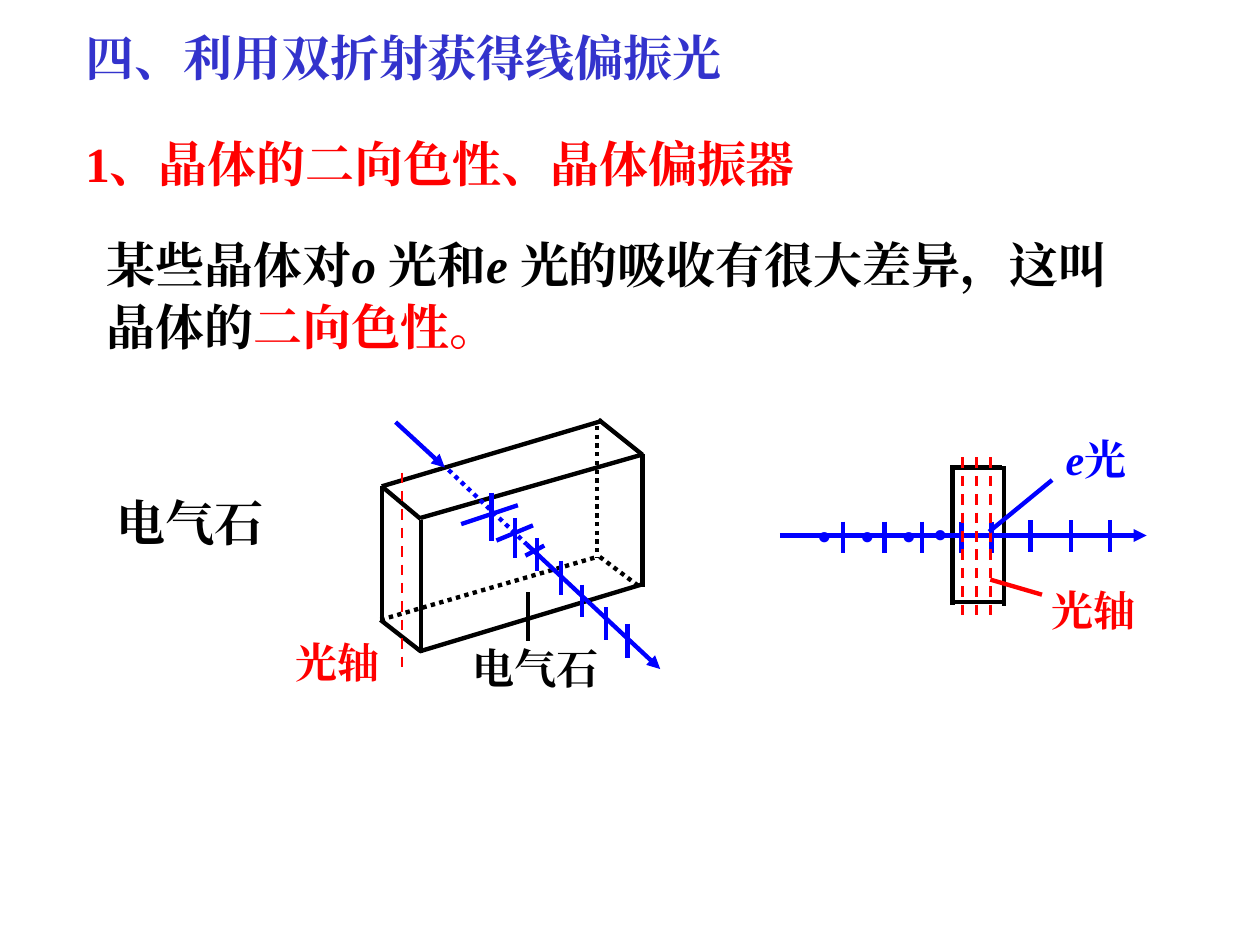
import pptx
import pptx.util
import pptx.dml.color
import pptx.enum.dml
import pptx.enum.shapes
import pptx.enum.text
from pptx.util import Inches
from lxml import etree

BLACK, RED, BLUE, INDIGO = "000000", "FF0000", "0000FF", "3333CC"
SERIF, SANS = "Times New Roman", "Noto Sans CJK SC"
DASH = pptx.enum.dml.MSO_LINE.DASH
DOT = pptx.enum.dml.MSO_LINE.ROUND_DOT
JUSTIFY = pptx.enum.text.PP_ALIGN.JUSTIFY
LEFT = pptx.enum.text.PP_ALIGN.LEFT

HEADINGS = [
    ((0.58, 0.15, 5.25, 0.57), LEFT, False,
     [("四、利用双折射获得线偏振光", SERIF, INDIGO, False)]),
    ((0.58, 0.99, 6.92, 0.57), JUSTIFY, True,
     [("1、", SERIF, RED, False), ("晶体的二向色性、晶体偏振器", SANS, RED, False)]),
    ((0.75, 1.79, 8.25, 1.04), LEFT, True,
     [("某些晶体对", SANS, BLACK, False), ("o ", SERIF, BLACK, True),
      ("光和", SANS, BLACK, False), ("e ", SERIF, BLACK, True),
      ("光的吸收有很大差异，这叫晶体的", SANS, BLACK, False),
      ("二向色性。", SANS, RED, False)]),
    ((0.83, 3.84, 1.92, 0.57), LEFT, True, [("电气石", SANS, BLACK, False)]),
]

PLATE_EDGES = [(7.54, 3.71, 7.95, 3.71), (7.56, 3.71, 7.56, 4.8),
               (7.97, 3.7, 7.97, 4.81), (7.56, 4.78, 7.97, 4.78)]
PLATE_RAY = (6.19, 4.25, 9.1, 4.25)
PLATE_TICKS = [(4.14, (6.69, 7.02, 7.32, 7.63, 7.87)), (4.13, (8.18, 8.5, 8.81))]
PLATE_TICK_HEIGHT = 0.25
PLATE_DOTS = [(6.45, 3.92), (6.79, 3.92), (7.12, 3.92), (7.37, 3.91)]
PLATE_AXES = [7.64, 7.75, 7.86]
PLATE_LEADERS = [((7.86, 4.6, 8.27, 4.72), RED), ((7.85, 4.22, 8.35, 3.81), BLUE)]
PLATE_LABELS = [
    ((8.25, 4.59, 1, 0.41), [("光轴", SERIF, RED, False)]),
    ((8.36, 3.39, 0.72, 0.33), [("e", SERIF, BLUE, True), ("光", SERIF, BLUE, False)]),
]

BLOCK_EDGES = [
    (3.03, 3.86, 3.34, 4.12), (3.02, 4.92, 3.34, 5.17), (3.03, 3.86, 3.03, 4.93),
    (3.34, 4.13, 3.34, 5.18), (3.33, 5.17, 5.09, 4.64), (3.34, 4.11, 5.09, 3.61),
    (3.03, 3.86, 4.78, 3.34), (5.1, 3.6, 5.1, 4.66), (4.75, 3.33, 5.1, 3.61),
]
HIDDEN_EDGES = [(4.74, 3.38, 4.74, 4.43), (4.76, 4.42, 5.08, 4.66),
                (3.02, 4.92, 4.74, 4.42)]
BLOCK_RAYS = [(4.18, 4.32, 5.24, 5.31), (3.14, 3.35, 3.53, 3.71)]
INNER_RAY = (3.56, 3.73, 4.18, 4.32)
BLOCK_TICKS = [(3.9, 3.91, 4.29), (4.09, 4.11, 4.43), (4.26, 4.27, 4.53),
               (4.45, 4.45, 4.72), (4.62, 4.64, 4.9), (4.81, 4.82, 5.08),
               (4.98, 4.95, 5.22)]
CROSS_TICKS = [(3.66, 4.16, 4.11, 4.01), (3.94, 4.29, 4.23, 4.17),
               (4.17, 4.41, 4.32, 4.33)]
BLOCK_LEADER = (4.19, 4.7, 4.19, 5.09)
BLOCK_AXIS = (3.19, 3.75, 3.19, 5.34)
BLOCK_LABELS = [
    ((3.65, 5.05, 1.44, 0.36), [("电气石", SERIF, BLACK, False)]),
    ((2.25, 5, 1, 0.41), [("光轴", SERIF, RED, False)]),
]


def rgb(value):
    return pptx.dml.color.RGBColor.from_string(value)


def add_text(shapes, place, runs, size, align=JUSTIFY, wrap=True, insets=(0.1, 0.05),
             spacing=None, grow=False):
    box = shapes.add_textbox(*map(Inches, place))
    frame = box.text_frame
    frame.word_wrap = wrap
    frame.margin_left = frame.margin_right = Inches(insets[0])
    frame.margin_top = frame.margin_bottom = Inches(insets[1])
    if grow:
        frame.auto_size = pptx.enum.text.MSO_AUTO_SIZE.SHAPE_TO_FIT_TEXT
    para = frame.paragraphs[0]
    para.alignment = align
    if spacing:
        para.line_spacing = spacing
    for text, face, color, italic in runs:
        span = para.add_run()
        span.text = text
        font = span.font
        font.size = pptx.util.Pt(size)
        font.bold, font.italic = True, italic
        font.color.rgb = rgb(color)
        font.name = face
        east_asian = etree.SubElement(font._element, pptx.oxml.ns.qn("a:ea"))
        east_asian.set("typeface", SERIF)


def add_line(shapes, ends, color, width=2.5, dash=None, arrow=False):
    line = shapes.add_connector(pptx.enum.shapes.MSO_CONNECTOR.STRAIGHT,
                                *map(Inches, ends))
    line.line.color.rgb = rgb(color)
    line.line.width = pptx.util.Pt(width)
    if dash:
        line.line.dash_style = dash
    if arrow:
        tail = etree.SubElement(line.line._get_or_add_ln(), pptx.oxml.ns.qn("a:tailEnd"))
        tail.set("type", "triangle")
    etree.SubElement(line._element.spPr, pptx.oxml.ns.qn("a:effectLst"))


def draw_plate(shapes):
    for edge in PLATE_EDGES:
        add_line(shapes, edge, BLACK)
    add_line(shapes, PLATE_RAY, BLUE, arrow=True)
    for top, columns in PLATE_TICKS:
        for x in columns:
            add_line(shapes, (x, top, x, top + PLATE_TICK_HEIGHT), BLUE)
    for x, y in PLATE_DOTS:
        add_text(shapes, (x, y, 0.46, 0.39), [("·", SERIF, BLUE, False)], 36,
                 insets=(0.01, 0.01))
    for x in PLATE_AXES:
        add_line(shapes, (x, 3.63, x, 4.91), RED, 1.5, DASH)
    for ends, color in PLATE_LEADERS:
        add_line(shapes, ends, color)
    for place, runs in PLATE_LABELS:
        add_text(shapes, place, runs, 24)


def draw_block(shapes):
    for edge in BLOCK_EDGES:
        add_line(shapes, edge, BLACK)
    for edge in HIDDEN_EDGES:
        add_line(shapes, edge, BLACK, dash=DOT)
    for ray in BLOCK_RAYS:
        add_line(shapes, ray, BLUE, arrow=True)
    add_line(shapes, INNER_RAY, BLUE, dash=DOT)
    for x, top, bottom in BLOCK_TICKS:
        add_line(shapes, (x, top, x, bottom), BLUE)
    for tick in CROSS_TICKS:
        add_line(shapes, tick, BLUE)
    add_line(shapes, BLOCK_LEADER, BLACK)
    add_line(shapes, BLOCK_AXIS, RED, 1.5, DASH)
    for place, runs in BLOCK_LABELS:
        add_text(shapes, place, runs, 24)


def main():
    deck = pptx.Presentation()
    deck.slide_width, deck.slide_height = Inches(10), Inches(7.5)
    page = deck.slides.add_slide(deck.slide_layouts[6])
    for place, align, wrap, runs in HEADINGS:
        add_text(page.shapes, place, runs, 28, align, wrap, spacing=1.05, grow=True)
    for draw in (draw_plate, draw_block):
        draw(page.shapes.add_group_shape().shapes)
    deck.save("out.pptx")


if __name__ == "__main__":
    main()
